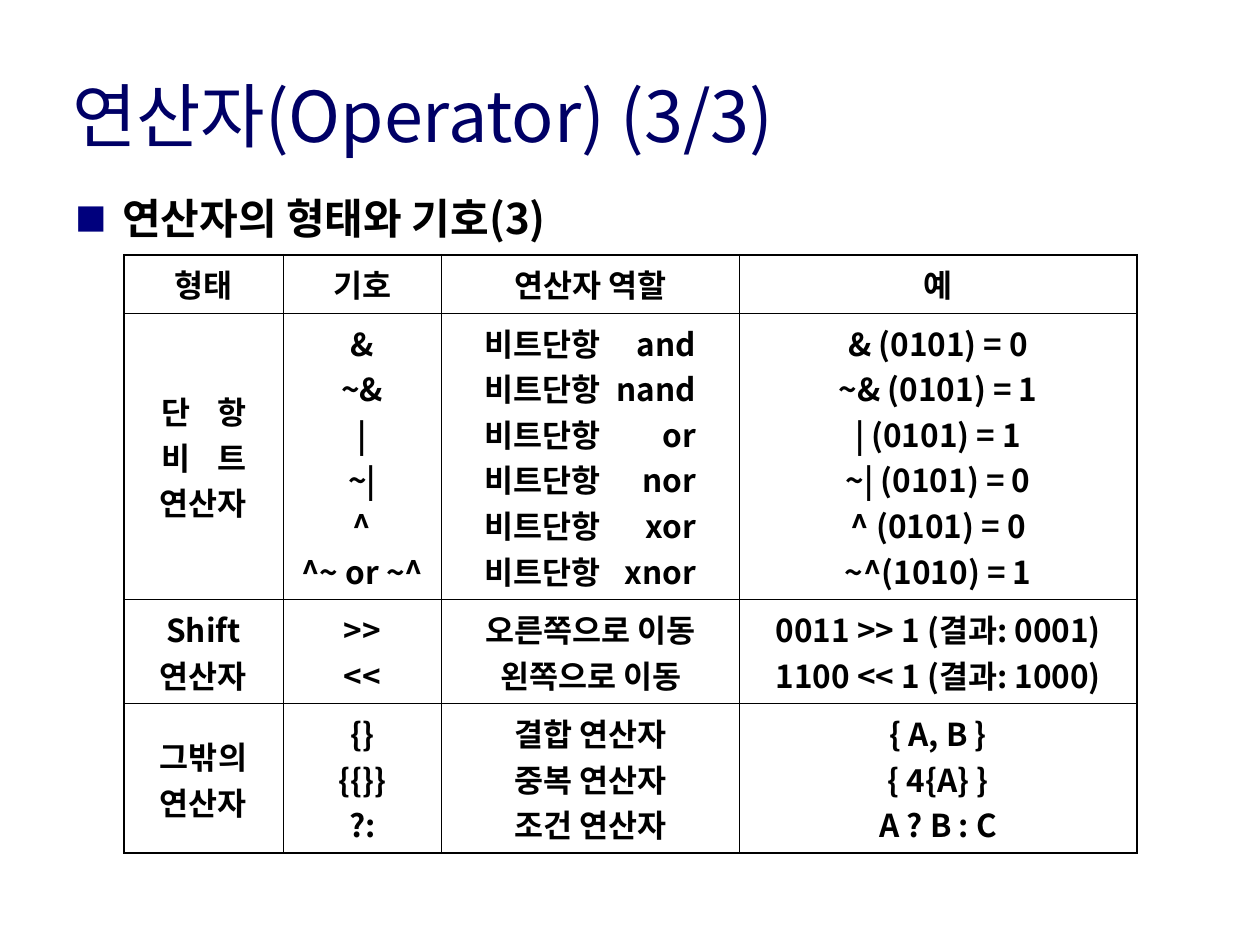
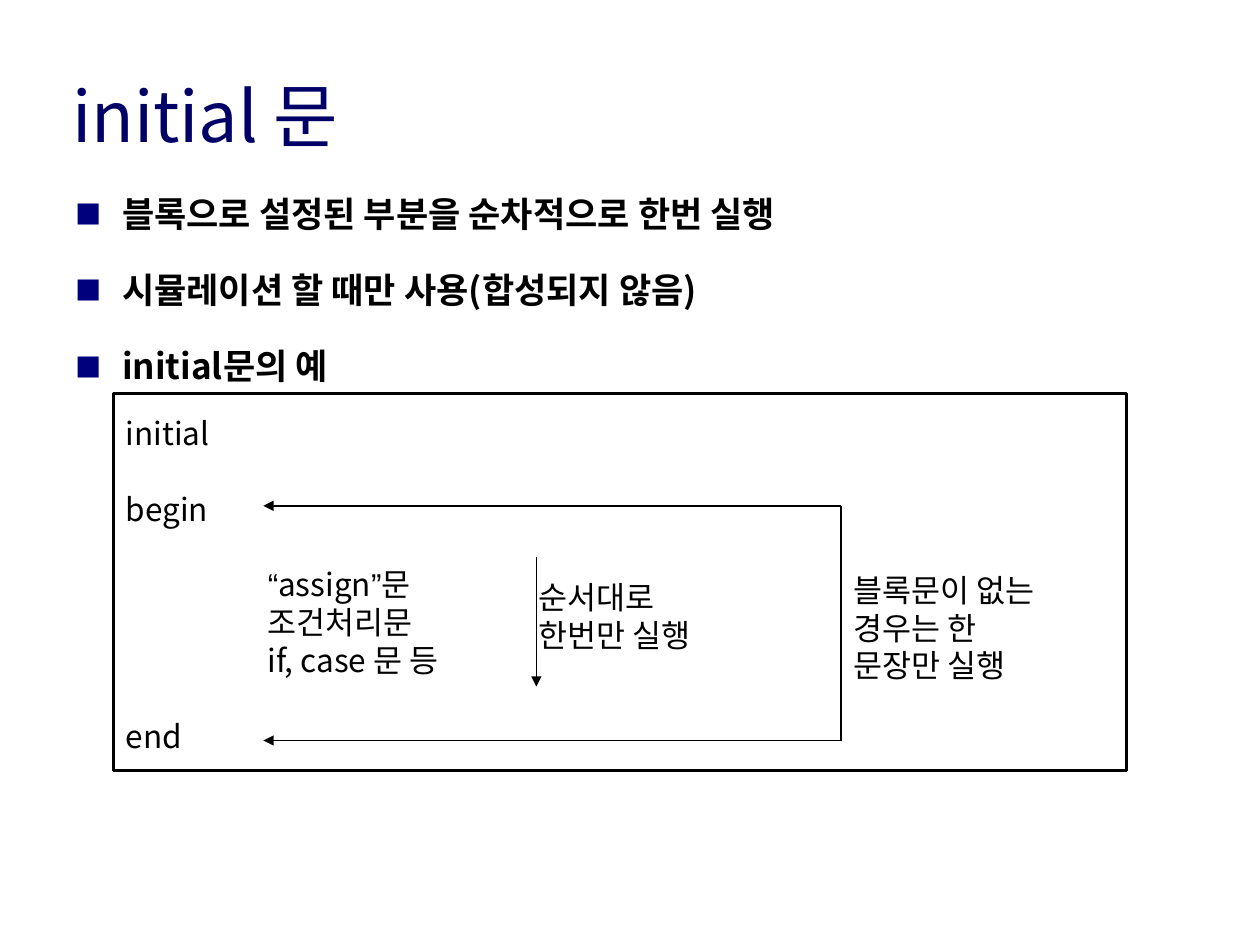
"""Build two lecture slides about operators and the initial statement."""
import dataclasses
import typing

import pptx
import pptx.dml.color
import pptx.enum.shapes
import pptx.enum.text
import pptx.oxml.ns
import pptx.util
from lxml import etree

Pt = pptx.util.Pt
ALIGN = pptx.enum.text.PP_ALIGN
ANCHOR = pptx.enum.text.MSO_ANCHOR
COLORS = {"title": "000066", "bullet": "00007D", "ink": "000000"}
FONT = "Noto Sans CJK KR"
QUOTE_FONT = "Arial"
TEXT_SIZE = 18
LINE_FACTOR = 1.2
CODE_LINE = TEXT_SIZE * LINE_FACTOR
THIN, THICK = 0.45, 1.13


@dataclasses.dataclass(frozen=True)
class Box:
    """Hold a frame in points."""
    left: float
    top: float
    width: float
    height: float

    def lengths(self) -> list[int]:
        """Return the frame as lengths for a new shape."""
        return [Pt(value) for value in dataclasses.astuple(self)]


@dataclasses.dataclass(frozen=True)
class Line:
    """Hold a straight line, with an optional arrow at its end."""
    start: tuple[float, float]
    end: tuple[float, float]
    arrow: bool = True


@dataclasses.dataclass(frozen=True)
class CodeLine:
    """Hold one line of the code example."""
    spans: tuple[tuple[str, str], ...]
    indent: float = 0
    before: float = 0


@dataclasses.dataclass(frozen=True)
class Label:
    """Hold a note beside an arrow."""
    text: str
    box: Box


TITLE_BOX = Box(34, 34.5, 662, 62)
BODY_BOX = Box(36, 103.7, 648, 389.5)
TABLE_BOX = Box(70.8, 145.4, 578.2, 288)
COLUMN_WIDTHS = (90.7, 90.7, 170, 226.8)
ROW_HEIGHTS = (28.8, 136.8, 50.4, 72)
COLUMN_TABS = {0: ((14, "l"), (46, "l")), 2: ((17, "l"), (138, "r"))}
OPERATOR_ROWS = (
    ("형태", "기호", "연산자 역할", "예"),
    ("\t단\t항\n\t비\t트\n연산자",
     "&\n~&\n|\n~|\n^\n^~ or ~^",
     "\n".join(f"\t비트단항\t{name}" for name in ("and", "nand", "or", "nor", "xor", "xnor")),
     "& (0101) = 0\n~& (0101) = 1\n| (0101) = 1\n~| (0101) = 0\n^ (0101) = 0\n~^(1010) = 1"),
    ("Shift\n연산자", ">>\n<<", "오른쪽으로 이동\n왼쪽으로 이동",
     "0011 >> 1 (결과: 0001)\n1100 << 1 (결과: 1000)"),
    ("그밖의 연산자", "{}\n{{}}\n?:", "결합 연산자\n중복 연산자\n조건 연산자",
     "{ A, B }\n{ 4{A} }\nA ? B : C"),
)

CODE_BOX = Box(64.8, 224.6, 578.2, 215.3)
CODE_INDENT = 81
CODE_LINES = (
    CodeLine((("initial", FONT),)),
    CodeLine((("begin", FONT),), before=CODE_LINE),
    CodeLine((("“", QUOTE_FONT), ("assign", FONT), ("”", QUOTE_FONT), ("문", FONT)),
             CODE_INDENT, CODE_LINE),
    CodeLine((("조건처리문", FONT),), CODE_INDENT),
    CodeLine((("if, case 문 등", FONT),), CODE_INDENT),
    CodeLine((("end", FONT),), before=CODE_LINE),
)
ARROW_LEFT, BRACKET_RIGHT = 150.3, 480.2
BEGIN_Y, END_Y = 288.7, 422.6
FLOW_LINES = (
    Line((BRACKET_RIGHT, BEGIN_Y), (BRACKET_RIGHT, END_Y), arrow=False),
    Line((BRACKET_RIGHT, BEGIN_Y), (ARROW_LEFT, BEGIN_Y)),
    Line((BRACKET_RIGHT, END_Y), (ARROW_LEFT, END_Y)),
    Line((306.2, 317.7), (306.2, 391.9)),
)
LABELS = (
    Label("순서대로 한번만 실행", Box(300.2, 324, 113.8, 50.4)),
    Label("블록문이 없는 경우는 한 문장만 실행", Box(480.2, 319.7, 131.8, 72)),
)


def rgb(name: str) -> pptx.dml.color.RGBColor:
    """Return a named colour."""
    return pptx.dml.color.RGBColor.from_string(COLORS[name])


def add_element(parent: typing.Any, tag: str, **attributes: str) -> typing.Any:
    """Append a drawing element."""
    child = etree.SubElement(parent, pptx.oxml.ns.qn(tag))
    for key, value in attributes.items():
        child.set(key, value)
    return child


def add_span(para: typing.Any, text: str, *, size: float = TEXT_SIZE, font: str = FONT,
             color: str = "ink", bold: bool = False) -> None:
    """Add formatted text to a paragraph."""
    span = para.add_run()
    span.text = text
    span.font.size = Pt(size)
    span.font.name = font
    span.font.bold = bold
    span.font.color.rgb = rgb(color)
    add_element(span.font._element, "a:ea", typeface=font)


def add_para(frame: typing.Any, index: int) -> typing.Any:
    """Return the first paragraph, or a new one."""
    return frame.add_paragraph() if index else frame.paragraphs[0]


def set_frame(frame: typing.Any, anchor: typing.Any = ANCHOR.TOP, top: float = 6) -> None:
    """Set wrapping, margins and anchor of a text frame."""
    frame.word_wrap = True
    frame.auto_size = pptx.enum.text.MSO_AUTO_SIZE.NONE
    frame.vertical_anchor = anchor
    frame.margin_left = frame.margin_right = Pt(7.2)
    frame.margin_top, frame.margin_bottom = Pt(top), Pt(3.6)


def set_tabs(para: typing.Any, stops: tuple[tuple[float, str], ...]) -> None:
    """Set the tab stops of a paragraph."""
    tabs = add_element(para._p.get_or_add_pPr(), "a:tabLst")
    for position, side in stops:
        add_element(tabs, "a:tab", pos=str(Pt(position)), algn=side)


def add_page(deck: typing.Any, title: str) -> typing.Any:
    """Add a titled slide."""
    page = deck.slides.add_slide(deck.slide_layouts[5])
    shape = page.shapes.title
    shape.left, shape.top, shape.width, shape.height = TITLE_BOX.lengths()
    set_frame(shape.text_frame, ANCHOR.MIDDLE, 3.6)
    para = shape.text_frame.paragraphs[0]
    para.alignment = ALIGN.LEFT
    add_span(para, title, size=40, color="title")
    return page


def add_bullets(page: typing.Any, texts: tuple[str, ...], size: float) -> None:
    """Add square-bulleted headings."""
    frame = page.shapes.add_textbox(*BODY_BOX.lengths()).text_frame
    set_frame(frame)
    for index, text in enumerate(texts):
        para = add_para(frame, index)
        para.line_spacing = Pt(size * LINE_FACTOR)
        para.space_before = Pt(19.5 if index else 0)
        properties = para._p.get_or_add_pPr()
        properties.set("marL", str(Pt(26.6)))
        properties.set("indent", str(Pt(-26.6)))
        add_element(add_element(properties, "a:buClr"), "a:srgbClr", val=COLORS["bullet"])
        add_element(properties, "a:buSzPct", val="75000")
        add_element(properties, "a:buFont", typeface=FONT)
        add_element(properties, "a:buChar", char="■")
        add_span(para, text, size=size, bold=True)


def set_borders(cell: typing.Any, row: int, column: int) -> None:
    """Draw thick outer and thin inner cell borders."""
    outer = {"a:lnL": column == 0, "a:lnR": column == len(COLUMN_WIDTHS) - 1,
             "a:lnT": row == 0, "a:lnB": row == len(ROW_HEIGHTS) - 1}
    for tag, thick in outer.items():
        width = Pt(THICK if thick else THIN)
        line = add_element(cell._tc.get_or_add_tcPr(), tag, w=str(width))
        add_element(add_element(line, "a:solidFill"), "a:srgbClr", val=COLORS["ink"])


def add_operator_table(page: typing.Any) -> None:
    """Add the table of operators."""
    table = page.shapes.add_table(len(ROW_HEIGHTS), len(COLUMN_WIDTHS),
                                  *TABLE_BOX.lengths()).table
    table.first_row = table.horz_banding = False
    for column, width in zip(table.columns, COLUMN_WIDTHS):
        column.width = Pt(width)
    for row, height in zip(table.rows, ROW_HEIGHTS):
        row.height = Pt(height)
    for row_index, texts in enumerate(OPERATOR_ROWS):
        for column_index, text in enumerate(texts):
            cell = table.cell(row_index, column_index)
            set_borders(cell, row_index, column_index)
            cell.fill.background()
            cell.vertical_anchor = ANCHOR.MIDDLE
            for index, line in enumerate(text.split("\n")):
                para = add_para(cell.text_frame, index)
                tabbed = "\t" in line
                para.alignment = ALIGN.LEFT if tabbed else ALIGN.CENTER
                if tabbed:
                    set_tabs(para, COLUMN_TABS[column_index])
                add_span(para, line, bold=True)


def add_line(page: typing.Any, line: Line) -> None:
    """Draw a line of the flow."""
    connector = page.shapes.add_connector(
        pptx.enum.shapes.MSO_CONNECTOR.STRAIGHT,
        *(Pt(value) for value in line.start + line.end))
    connector.line.color.rgb = rgb("ink")
    connector.line.width = Pt(0.77)
    if line.arrow:
        add_element(connector.line._get_or_add_ln(), "a:tailEnd", type="triangle")
    add_element(connector._element.spPr, "a:effectLst")


def add_label(page: typing.Any, label: Label) -> None:
    """Add a note."""
    frame = page.shapes.add_textbox(*label.box.lengths()).text_frame
    set_frame(frame)
    para = frame.paragraphs[0]
    para.line_spacing = Pt(CODE_LINE)
    add_span(para, label.text)


def add_code(page: typing.Any) -> None:
    """Add the framed code example."""
    shape = page.shapes.add_shape(pptx.enum.shapes.MSO_SHAPE.RECTANGLE, *CODE_BOX.lengths())
    shape.shadow.inherit = False
    shape.fill.background()
    shape.line.color.rgb = rgb("ink")
    shape.line.width = Pt(1.75)
    set_frame(shape.text_frame, ANCHOR.MIDDLE)
    for index, line in enumerate(CODE_LINES):
        para = add_para(shape.text_frame, index)
        para.alignment = ALIGN.LEFT
        para.line_spacing = Pt(CODE_LINE)
        para.space_before = Pt(line.before)
        para._p.get_or_add_pPr().set("marL", str(Pt(line.indent)))
        for text, font in line.spans:
            add_span(para, text, font=font)


def main() -> None:
    """Build and save the deck."""
    deck = pptx.Presentation()
    deck.slide_width, deck.slide_height = Pt(719.3), Pt(539.3)
    page = add_page(deck, "연산자(Operator) (3/3)")
    add_bullets(page, ("연산자의 형태와 기호(3)",), 24)
    add_operator_table(page)
    page = add_page(deck, "initial 문")
    add_bullets(page, ("블록으로 설정된 부분을 순차적으로 한번 실행",
                       "시뮬레이션 할 때만 사용(합성되지 않음)", "initial문의 예"), 20)
    for line in FLOW_LINES:
        add_line(page, line)
    for label in LABELS:
        add_label(page, label)
    add_code(page)
    deck.save("out.pptx")


if __name__ == "__main__":
    main()
